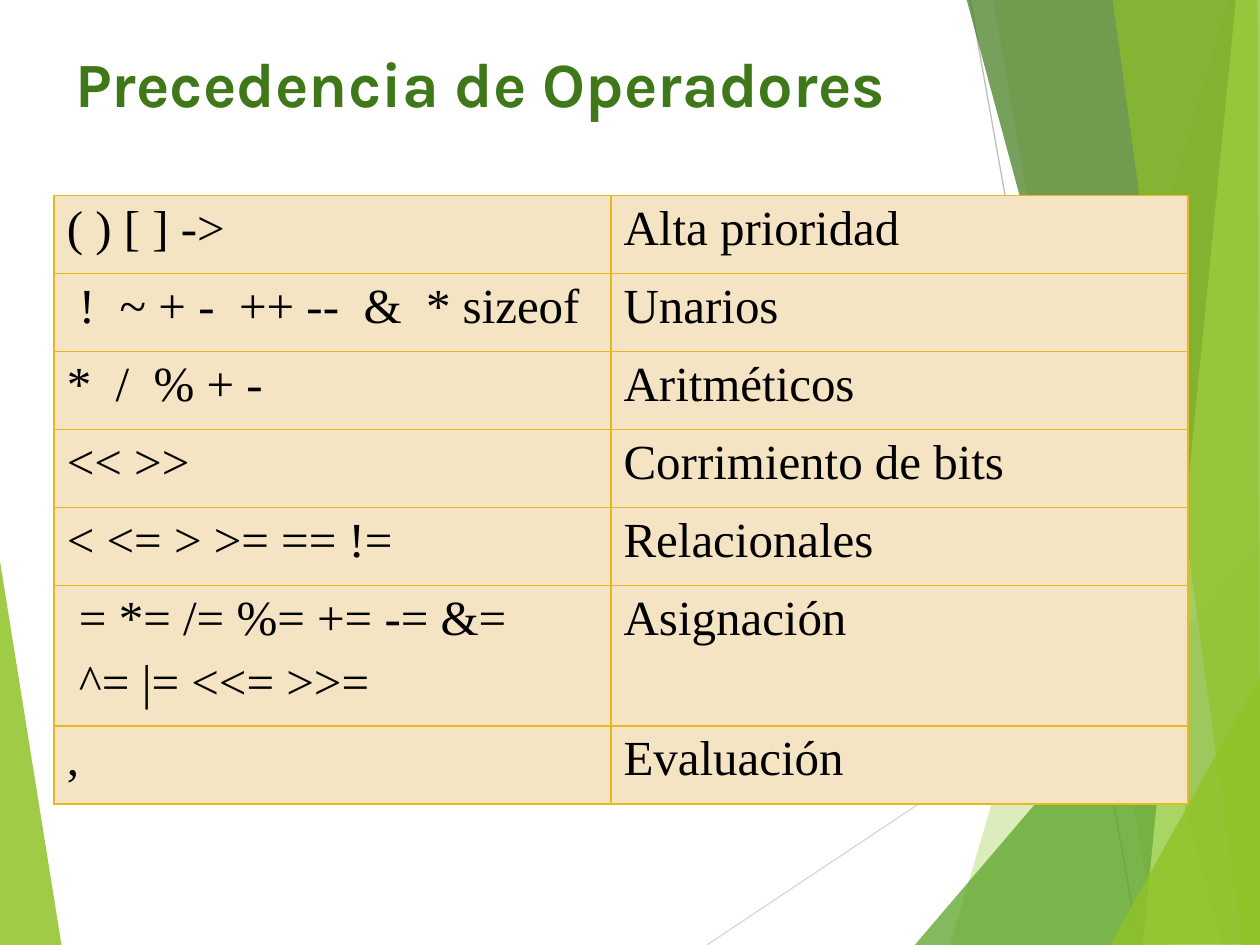
from lxml import etree
from pptx import Presentation
from pptx.dml.color import RGBColor
from pptx.enum import shapes, text
from pptx.oxml import ns
from pptx.util import Inches, Pt

HUES = {
    "lime": "90C226", "leaf": "54A021", "dark": "3F7819", "pale": "C0E474",
    "mist": "D9D9D9", "gray": "BFBFBF", "gold": "E6B91E", "cream": "F5E4C4",
    "ink": "000000",
}
HEAD = {"size": Pt(36), "name": "Karla", "bold": True}
BODY = {"size": Pt(28), "name": "Times New Roman", "bold": False}
LINES = [("mist", 5.61, 7.5, 10.01, 4.57), ("gray", 7.7, 0, 9.04, 7.5)]
EDGE = [(-0.01, 4.39), (0.49, 7.51), (-0.01, 7.5)]
BANDS = [
    ("lime", 30, [(9.75, 0), (7.54, 7.5), (10.02, 7.51), (10.01, 0.01)]),
    ("lime", 20, [(7.88, -0.01), (9.19, 7.5), (10.01, 7.5), (10.01, -0.01)]),
    ("leaf", 72, [(7.26, 7.5), (10, 4.29), (10.01, 7.5)]),
    ("dark", 70, [(7.67, -0.01), (9.7, 7.5), (10.01, 7.49), (10.01, -0.01)]),
    ("pale", 70, [(9.81, -0.01), (9.07, 7.5), (10.01, 7.5), (10, -0.01)]),
    ("lime", 65, [(8.83, -0.01), (9.86, 7.5), (10, 7.5), (9.98, -0.01)]),
    ("lime", 80, [(8.81, 7.5), (10.01, 5.35), (10.01, 7.49)]),
]
ROWS = [
    ("( ) [ ] ->", "Alta prioridad"),
    (" !  ~ + -  ++ --  &  * sizeof", "Unarios"),
    ("*  /  % + -", "Aritméticos"),
    ("<< >>", "Corrimiento de bits"),
    ("< <= > >= == !=", "Relacionales"),
    (" = *= /= %= += -= &=\n ^= |= <<= >>=", "Asignación"),
    (",", "Evaluación"),
]


def add(parent, tag, **attrs):
    return etree.SubElement(parent, ns.qn(tag), attrs)


class Deck:
    """Holds the style and the current slide, and draws each kind of element."""

    def __init__(self, hues):
        self.hues = hues
        self.prs = Presentation()
        self.prs.slide_width, self.prs.slide_height = Inches(10), Inches(7.5)
        self.slide = self.prs.slides.add_slide(self.prs.slide_layouts[6])
        self.items = self.slide.shapes

    def tint(self, hue):
        return RGBColor.from_string(self.hues[hue])

    def font(self, font, form, hue):
        for key, val in form.items():
            setattr(font, key, val)
        font.color.rgb = self.tint(hue)

    def band(self, hue, alpha, points):
        spots = [(Inches(x), Inches(y)) for x, y in points]
        pen = self.items.build_freeform(*spots[0])
        pen.add_line_segments(spots[1:], close=True)
        shape = pen.convert_to_shape()
        shape.shadow.inherit = False
        shape.line.fill.background()
        shape.fill.solid()
        shape.fill.fore_color.rgb = self.tint(hue)
        color = shape._element.spPr.find(".//" + ns.qn("a:srgbClr"))
        add(color, "a:alpha", val=str(alpha * 1000))

    def line(self, hue, *ends):
        line = self.items.add_connector(
            shapes.MSO_CONNECTOR.STRAIGHT, *map(Inches, ends))
        line.line.color.rgb = self.tint(hue)
        line.line.width = Pt(0.75)
        add(line._element.spPr, "a:effectLst")

    def title(self, words, *box):
        frame = self.items.add_textbox(*map(Inches, box)).text_frame
        frame.word_wrap = True
        frame.vertical_anchor = text.MSO_ANCHOR.TOP
        frame.text = words
        self.font(frame.paragraphs[0].runs[0].font, HEAD, "dark")

    def cell(self, cell, words):
        cell.text = words
        for para in cell.text_frame.paragraphs:
            gap = add(para._p.get_or_add_pPr(), "a:spcBef")
            add(gap, "a:spcPct", val="20000")
            self.font(para.runs[0].font, BODY, "ink")
        props = cell._tc.get_or_add_tcPr()
        for side in "LRTB":
            rule = add(props, "a:ln" + side, w=str(Pt(1)))
            add(add(rule, "a:solidFill"), "a:srgbClr", val=self.hues["gold"])
        cell.fill.solid()
        cell.fill.fore_color.rgb = self.tint("cream")

    def table(self, rows, left, top, cols, high):
        grid = self.items.add_table(
            len(rows), len(cols), Inches(left), Inches(top),
            Inches(sum(cols)), Inches(high * len(rows))).table
        grid.first_row = grid.horz_banding = False
        for col, wide in zip(grid.columns, cols):
            col.width = Inches(wide)
        for row, pair in zip(grid.rows, rows):
            row.height = Inches(high)
            for cell, words in zip(row.cells, pair):
                self.cell(cell, words)


def main():
    deck = Deck(HUES)
    deck.band("lime", 85, EDGE)
    for line in LINES:
        deck.line(*line)
    for band in BANDS:
        deck.band(*band)
    deck.title("Precedencia de Operadores", 0.5, 0.3, 9, 1.25)
    deck.table(ROWS, 0.43, 1.55, [4.42, 4.58], 0.62)
    deck.prs.save("out.pptx")


if __name__ == "__main__":
    main()
